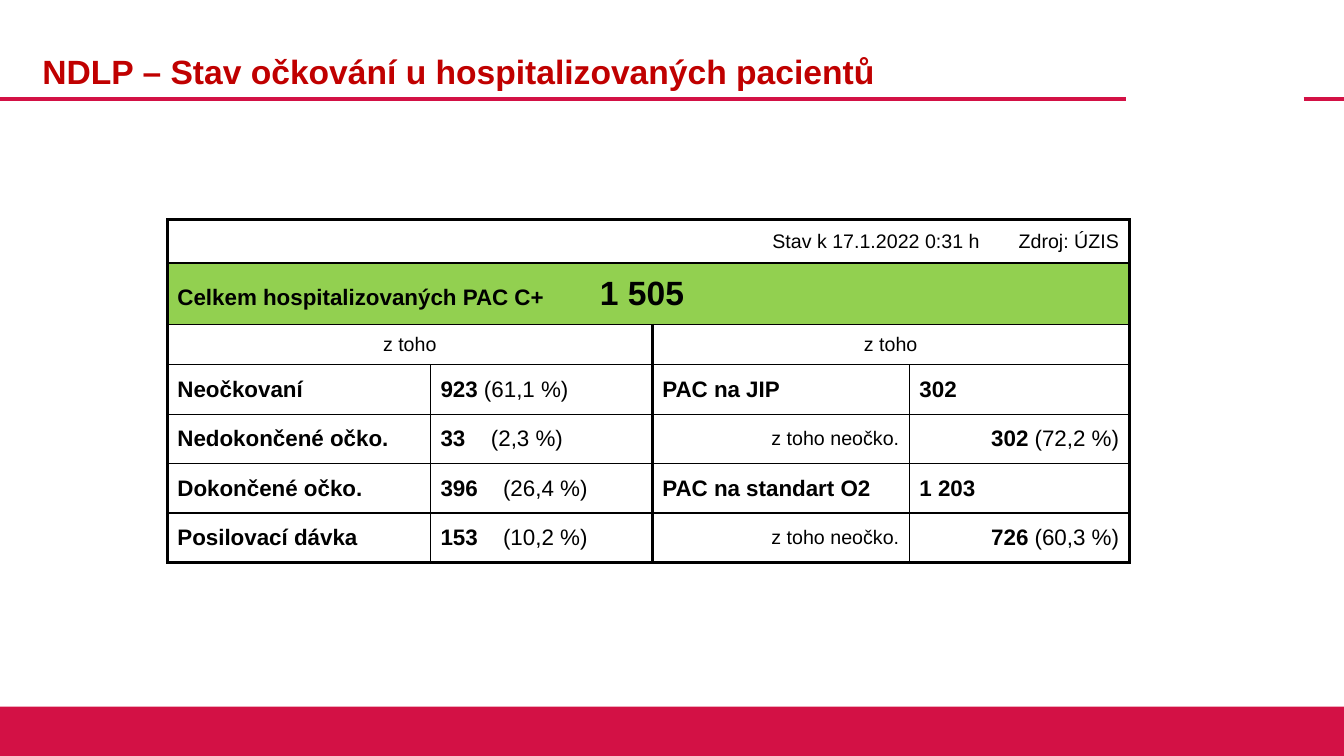
from lxml import etree
from pptx import Presentation
from pptx.dml.color import RGBColor
from pptx.enum.shapes import MSO_CONNECTOR, MSO_SHAPE
from pptx.enum.text import MSO_ANCHOR, MSO_AUTO_SIZE, PP_ALIGN
from pptx.oxml.ns import qn
from pptx.util import Inches, Pt

LEFT, CENTER, RIGHT = PP_ALIGN.LEFT, PP_ALIGN.CENTER, PP_ALIGN.RIGHT
MIDDLE = MSO_ANCHOR.MIDDLE
NO_FIT = MSO_AUTO_SIZE.NONE
STRAIGHT = MSO_CONNECTOR.STRAIGHT
RECTANGLE = MSO_SHAPE.RECTANGLE
BLACK = RGBColor(0x00, 0x00, 0x00)
CRIMSON = RGBColor(0xD3, 0x11, 0x45)
DARK_RED = RGBColor(0xC0, 0x00, 0x00)
GREEN = RGBColor(0x92, 0xD0, 0x50)

HEADING = "NDLP – Stav očkování u hospitalizovaných pacientů"
UPDATED, SOURCE = "Stav k 17.1.2022 0:31 h", "Zdroj: ÚZIS"
TOTAL_LABEL, TOTAL = "Celkem hospitalizovaných PAC C+", "1 505"
OF_WHICH = "z toho"
UNVACCINATED = "z toho neočko."
VACCINATION = [
    ("Neočkovaní", "923", " (61,1 %)", None),
    ("Nedokončené očko.", "33", "\t(2,3 %)", 0.5),
    ("Dokončené očko.", "396", "\t(26,4 %)", 0.62),
    ("Posilovací dávka", "153", "\t(10,2 %)", 0.62),
]
CARE = [
    ("PAC na JIP", "302", ""),
    (UNVACCINATED, "302", " (72,2 %)"),
    ("PAC na standart O2", "1 203", ""),
    (UNVACCINATED, "726", " (60,3 %)"),
]
COLUMNS = [2.37, 0.24, 2.2, 2.55, 0.8, 1.38]
ROWS = [0.43, 0.61, 0.4] + [0.49] * 4
TABLE_LEFT, TABLE_TOP = 1.66, 2.18
HALF = 3
RULE_Y = 0.98
THIN, THICK = 1, 2.25


def write(frame, text, size=16, bold=False, color=BLACK, align=LEFT, tab=None,
          tail="", tail_size=None, tail_bold=False, spacing=None):
    paragraph = frame.paragraphs[0]
    paragraph.alignment = align
    if spacing:
        paragraph.line_spacing = spacing
    if tab:
        stops = etree.SubElement(paragraph._p.get_or_add_pPr(), qn("a:tabLst"))
        etree.SubElement(stops, qn("a:tab"), pos=str(Inches(tab)), algn="l")
    for words, points, heavy in ((text, size, bold), (tail, tail_size or size, tail_bold)):
        if words:
            run = paragraph.add_run()
            run.text = words
            run.font.name = "Arial"
            run.font.size = Pt(points)
            run.font.bold = heavy
            run.font.color.rgb = color


def set_border(cell, side, width):
    line = etree.SubElement(cell._tc.get_or_add_tcPr(), qn("a:ln" + side),
                            w=str(Pt(width)))
    if width:
        fill = etree.SubElement(line, qn("a:solidFill"))
        etree.SubElement(fill, qn("a:srgbClr"), val=str(BLACK))
    else:
        etree.SubElement(line, qn("a:noFill"))


def vertical_width(row, edge):
    if edge in (0, len(COLUMNS)):
        return THICK
    if row == 0:
        return 0
    return THICK if edge == HALF else THIN


def add_cell(table, row, column, span=1, text="", fill=None, **style):
    last = column + span
    widths = {
        "L": vertical_width(row, column),
        "R": vertical_width(row, last),
        "T": THICK if row == 0 else THIN,
        "B": THICK if row == len(ROWS) - 1 else THIN,
    }
    for position in range(column, last):
        for side, width in widths.items():
            set_border(table.cell(row, position), side, width)
    cell = table.cell(row, column)
    if span > 1:
        cell.merge(table.cell(row, last - 1))
    cell.vertical_anchor = MIDDLE
    if fill:
        cell.fill.solid()
        cell.fill.fore_color.rgb = fill
    else:
        cell.fill.background()
    write(cell.text_frame, text, **style)


def add_rule(slide, start, end):
    rule = slide.shapes.add_connector(STRAIGHT, Inches(start), Inches(RULE_Y),
                                      Inches(end), Inches(RULE_Y))
    rule.line.color.rgb = CRIMSON
    rule.line.width = Pt(3)
    etree.SubElement(rule._element.spPr, qn("a:effectLst"))


def add_frame(slide):
    add_rule(slide, 0, 11.17)
    add_rule(slide, 12.93, 13.33)
    footer = slide.shapes.add_shape(RECTANGLE, 0, Inches(7.01), Inches(13.33), Inches(0.49))
    footer.shadow.inherit = False
    footer.fill.solid()
    footer.fill.fore_color.rgb = CRIMSON
    footer.line.fill.background()


def add_heading(slide):
    title = slide.shapes.title
    title.left, title.top = Inches(0.32), Inches(0.24)
    title.width, title.height = Inches(10.81), Inches(0.98)
    frame = title.text_frame
    frame.auto_size = NO_FIT
    frame.word_wrap = True
    frame.vertical_anchor = MIDDLE
    write(frame, HEADING, size=24, bold=True, color=DARK_RED, spacing=0.9)


def add_patients(slide):
    table = slide.shapes.add_table(
        len(ROWS), len(COLUMNS), Inches(TABLE_LEFT), Inches(TABLE_TOP),
        Inches(sum(COLUMNS)), Inches(sum(ROWS))).table
    table.first_row = False
    table.horz_banding = False
    for column, width in zip(table.columns, COLUMNS):
        column.width = Inches(width)
    for row, height in zip(table.rows, ROWS):
        row.height = Inches(height)

    add_cell(table, 0, 0)
    add_cell(table, 0, 1, 2)
    add_cell(table, 0, 3, 2, UPDATED, size=14, align=RIGHT)
    add_cell(table, 0, 5, 1, SOURCE, size=14, align=RIGHT)
    add_cell(table, 1, 0, len(COLUMNS), TOTAL_LABEL, fill=GREEN, bold=True, tab=4.19,
             tail="\t" + TOTAL, tail_size=24, tail_bold=True)
    for start in (0, HALF):
        add_cell(table, 2, start, HALF, OF_WHICH, size=14, align=CENTER)

    for row, (status, care) in enumerate(zip(VACCINATION, CARE), start=3):
        label, count, share, tab = status
        add_cell(table, row, 0, 2, label, bold=True)
        add_cell(table, row, 2, 1, count, bold=True, tail=share, tab=tab)
        label, count, share = care
        detail = label == UNVACCINATED
        align = RIGHT if detail else LEFT
        add_cell(table, row, 3, 1, label, size=14 if detail else 16,
                 bold=not detail, align=align)
        add_cell(table, row, 4, 2, count, bold=True, tail=share, align=align)


def main():
    deck = Presentation()
    deck.slide_width, deck.slide_height = Inches(13.33), Inches(7.5)
    slide = deck.slides.add_slide(deck.slide_layouts[5])
    add_frame(slide)
    add_heading(slide)
    add_patients(slide)
    deck.save("out.pptx")


if __name__ == "__main__":
    main()
